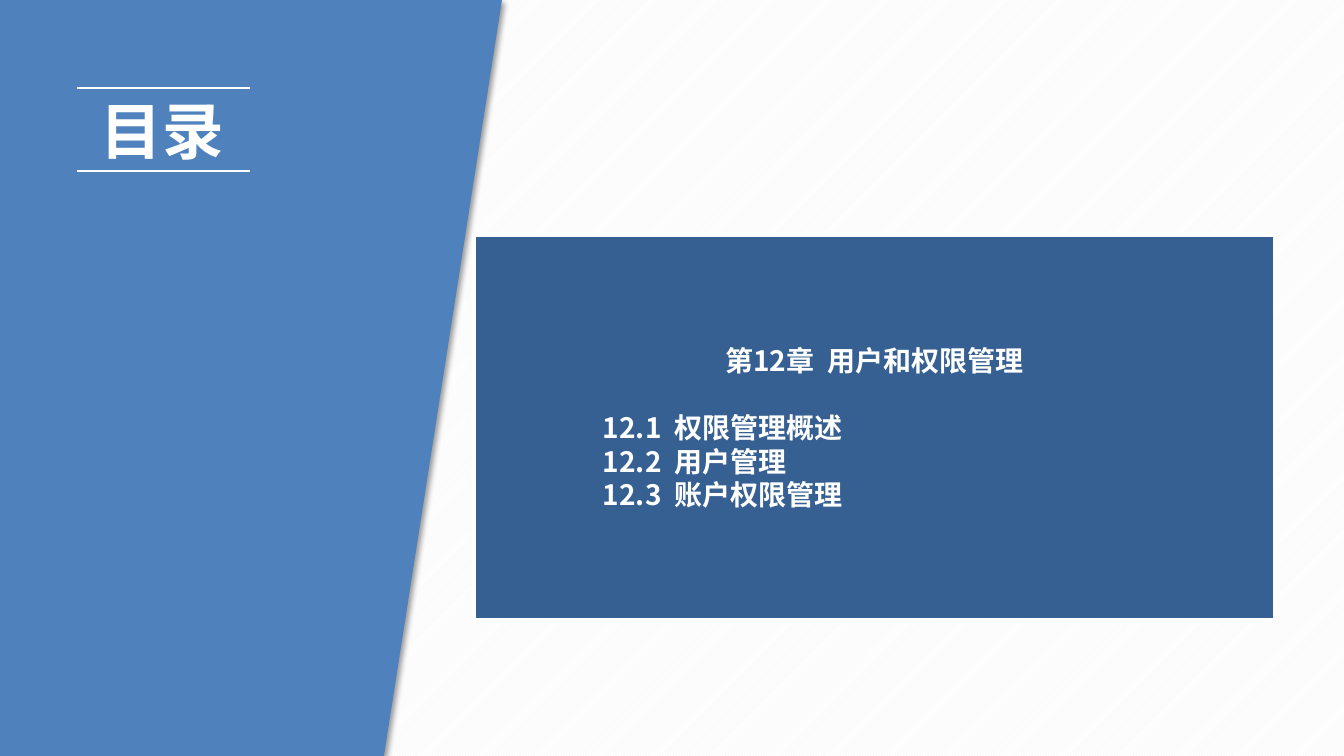
from lxml import etree
from pptx import Presentation
from pptx.dml.color import RGBColor
from pptx.enum.dml import MSO_PATTERN
from pptx.enum.shapes import MSO_CONNECTOR, MSO_SHAPE
from pptx.enum.text import MSO_ANCHOR, PP_ALIGN
from pptx.oxml.ns import qn
from pptx.util import Pt

W, H = 1344, 756
PX = 12192000 / W
FONT = "Noto Sans CJK SC"
COLORS = {"panel": "4F81BD", "chapter": "376092", "white": "FFFFFF",
          "stripe": "F2F2F2", "shadow": "000000"}
SECTIONS = ["12.1  权限管理概述", "12.2  用户管理", "12.3  账户权限管理"]


def px(n):
    return round(n * PX)


def rgb(name):
    return RGBColor.from_string(COLORS[name])


def set_background(s):
    fill = s.background.fill
    fill.patterned()
    fill.pattern = MSO_PATTERN.DARK_UPWARD_DIAGONAL
    fill.fore_color.rgb = rgb("stripe")
    fill.back_color.rgb = rgb("white")


def add_effects(sp):
    return etree.SubElement(sp._element.spPr, qn("a:effectLst"))


def add_panel(s, points):
    builder = s.shapes.build_freeform(*points[0], scale=PX)
    builder.add_line_segments(points[1:], close=True)
    sp = builder.convert_to_shape()
    sp.fill.solid()
    sp.fill.fore_color.rgb = rgb("panel")
    sp.line.fill.background()
    # Soft shadow to the lower right
    shadow = etree.SubElement(add_effects(sp), qn("a:outerShdw"), blurRad=str(Pt(4)),
                              dist=str(Pt(3)), dir=str(45 * 60000), algn="tl")
    color = etree.SubElement(shadow, qn("a:srgbClr"), val=COLORS["shadow"])
    etree.SubElement(color, qn("a:alpha"), val="40000")


def add_rule(s, x1, x2, y):
    line = s.shapes.add_connector(MSO_CONNECTOR.STRAIGHT, px(x1), px(y), px(x2), px(y))
    line.line.color.rgb = rgb("white")
    line.line.width = Pt(2)
    add_effects(line)


def write(p, text, size, **formats):
    for name, value in formats.items():
        setattr(p, name, value)
    r = p.add_run()
    r.text = text
    for name, value in {"size": Pt(size), "bold": True, "name": FONT}.items():
        setattr(r.font, name, value)
    r.font.color.rgb = rgb("white")
    etree.SubElement(r._r.get_or_add_rPr(), qn("a:ea"), typeface=FONT)


def add_title(s, x, y, w, h, text):
    tf = s.shapes.add_textbox(px(x), px(y), px(w), px(h)).text_frame
    tf.word_wrap = True
    write(tf.paragraphs[0], text, 44)


def add_chapter(s, x, y, w, h, heading, sections):
    sp = s.shapes.add_shape(MSO_SHAPE.RECTANGLE, px(x), px(y), px(w), px(h))
    sp.shadow.inherit = False
    sp.fill.solid()
    sp.fill.fore_color.rgb = rgb("chapter")
    sp.line.color.rgb = rgb("white")
    sp.line.width = Pt(2.25)
    tf = sp.text_frame
    tf.word_wrap = True
    tf.vertical_anchor = MSO_ANCHOR.MIDDLE
    write(tf.paragraphs[0], heading, 20, alignment=PP_ALIGN.CENTER, space_after=Pt(24))
    for section in sections:
        p = tf.add_paragraph()
        write(p, section, 20, alignment=PP_ALIGN.LEFT, level=2)
        p._p.get_or_add_pPr().set("marL", str(px(119)))


def main():
    prs = Presentation()
    prs.slide_width, prs.slide_height = px(W), px(H)
    s = prs.slides.add_slide(prs.slide_layouts[6])
    set_background(s)

    # Left panel with slanted edge
    add_panel(s, [(0, 0), (502, 0), (384, H), (0, H)])

    # Title between two rules
    add_title(s, 91, 88, 279, 84, "目录")
    for y in (88, 171):
        add_rule(s, 77, 250, y)

    # Chapter contents
    add_chapter(s, 474, 235, 801, 385, "第12章  用户和权限管理", SECTIONS)
    prs.save("out.pptx")


if __name__ == "__main__":
    main()
